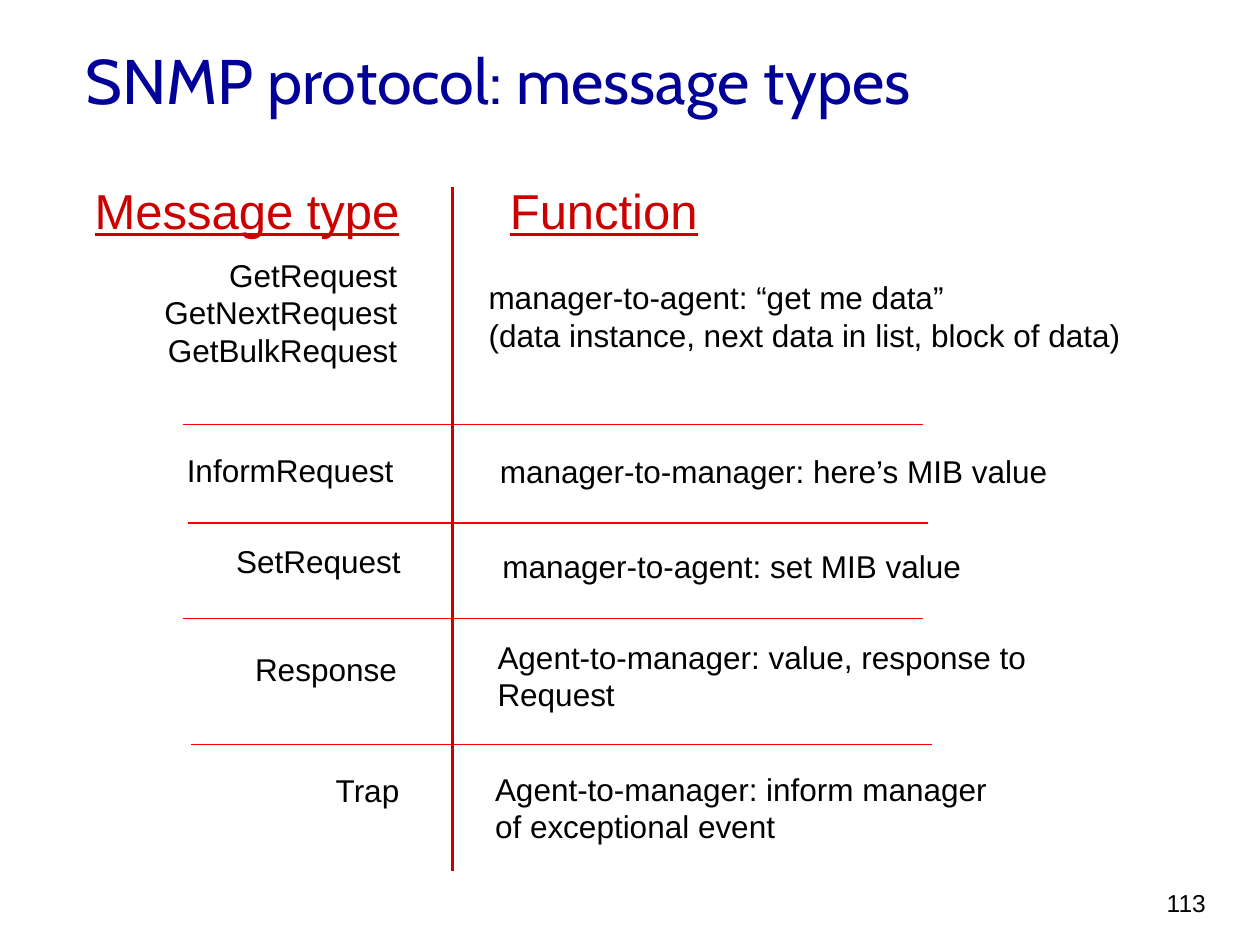
from dataclasses import dataclass

from pptx import Presentation
from pptx.dml.color import RGBColor
from pptx.enum.shapes import MSO_CONNECTOR
from pptx.enum.text import MSO_ANCHOR, MSO_AUTO_SIZE, PP_ALIGN
from pptx.oxml.ns import qn
from pptx.util import Cm, Pt
from lxml.etree import SubElement


@dataclass(frozen=True)
class Theme:
    title_color: RGBColor = RGBColor(0x00, 0x00, 0x99)
    heading_color: RGBColor = RGBColor(0xCC, 0x00, 0x00)
    rule_color: RGBColor = RGBColor(0xFF, 0x00, 0x00)
    text_color: RGBColor = RGBColor(0x00, 0x00, 0x00)
    title_font: str = "Cabin"
    text_font: str = "Arial"
    title_size: Pt = Pt(36)
    heading_size: Pt = Pt(28)
    text_size: Pt = Pt(18)
    number_size: Pt = Pt(14)


theme = Theme()
deck = Presentation()
deck.slide_width, deck.slide_height = Cm(25.4), Cm(19.05)
page = deck.slides.add_slide(deck.slide_layouts[5])


def add_text(place, lines, align, size=theme.text_size, color=theme.text_color, underline=False):
    """Add a text box at place (left, top, width, height in cm), one paragraph a line."""
    box = page.shapes.add_textbox(*map(Cm, place))
    frame = box.text_frame
    frame.word_wrap = True
    for index, line in enumerate(lines):
        para = frame.paragraphs[0] if index == 0 else frame.add_paragraph()
        para.alignment = align
        span = para.add_run()
        span.text = line
        span.font.name, span.font.size = theme.text_font, size
        span.font.color.rgb = color
        if underline:
            span.font.underline = True


def add_rule(start_x, start_y, end_x, end_y, color, width):
    rule = page.shapes.add_connector(
        MSO_CONNECTOR.STRAIGHT, Cm(start_x), Cm(start_y), Cm(end_x), Cm(end_y))
    rule.line.color.rgb = color
    rule.line.width = Pt(width)
    SubElement(rule._element.spPr, qn("a:effectLst"))


# Title
title = page.shapes.title
title.left, title.top, title.width, title.height = Cm(1.47), Cm(0), Cm(21.59), Cm(3.18)
title.text_frame.auto_size = MSO_AUTO_SIZE.NONE
title.text_frame.vertical_anchor = MSO_ANCHOR.MIDDLE
para = title.text_frame.paragraphs[0]
para.alignment = PP_ALIGN.LEFT
span = para.add_run()
span.text = "SNMP protocol: message types"
span.font.name, span.font.size = theme.title_font, theme.title_size
span.font.color.rgb = theme.title_color

# Column headings
headings = [
    ((1.57, 3.51, 6.73, 1.45), "Message type", PP_ALIGN.RIGHT),
    ((10.03, 3.51, 4.34, 1.45), "Function", PP_ALIGN.LEFT),
]
for place, heading, align in headings:
    add_text(place, [heading], align, theme.heading_size, theme.heading_color, underline=True)

# Message types on the left, what each one does on the right
messages = [
    ((1.4, 5.03, 6.86, 3.33), ["GetRequest", "GetNextRequest", "GetBulkRequest"],
     (9.6, 5.49, 13.39, 1.8),
     ["manager-to-agent: “get me data”", "(data instance, next data in list, block of data)"]),
    ((1.02, 8.97, 7.16, 1.27), ["InformRequest"],
     (9.83, 8.99, 12.52, 1.02), ["manager-to-manager: here’s MIB value"]),
    ((1.17, 10.8, 7.16, 1.27), ["SetRequest"],
     (9.88, 10.9, 11.86, 1.02), ["manager-to-agent: set MIB value"]),
    ((1.09, 12.98, 7.16, 1.27), ["Response"],
     (9.78, 12.73, 11.76, 1.8), ["Agent-to-manager: value, response to", "Request"]),
    ((1.14, 15.42, 7.16, 1.27), ["Trap"],
     (9.73, 15.39, 13.31, 1.8), ["Agent-to-manager: inform manager", "of exceptional event"]),
]
for type_place, types, function_place, function in messages:
    add_text(type_place, types, PP_ALIGN.RIGHT)
    add_text(function_place, function, PP_ALIGN.LEFT)

# Row rules and the column divider
rule_length = 14.93
for left, top in [(3.68, 8.56), (3.78, 10.54), (3.68, 12.47), (3.86, 15.01)]:
    add_rule(left, top, left + rule_length, top, theme.rule_color, 1)
add_rule(9.12, 3.76, 9.12, 17.55, theme.heading_color, 2)

# Page number
add_text((22.68, 17.78, 1.88, 1.27), ["113"], PP_ALIGN.RIGHT, theme.number_size)

deck.save("out.pptx")
